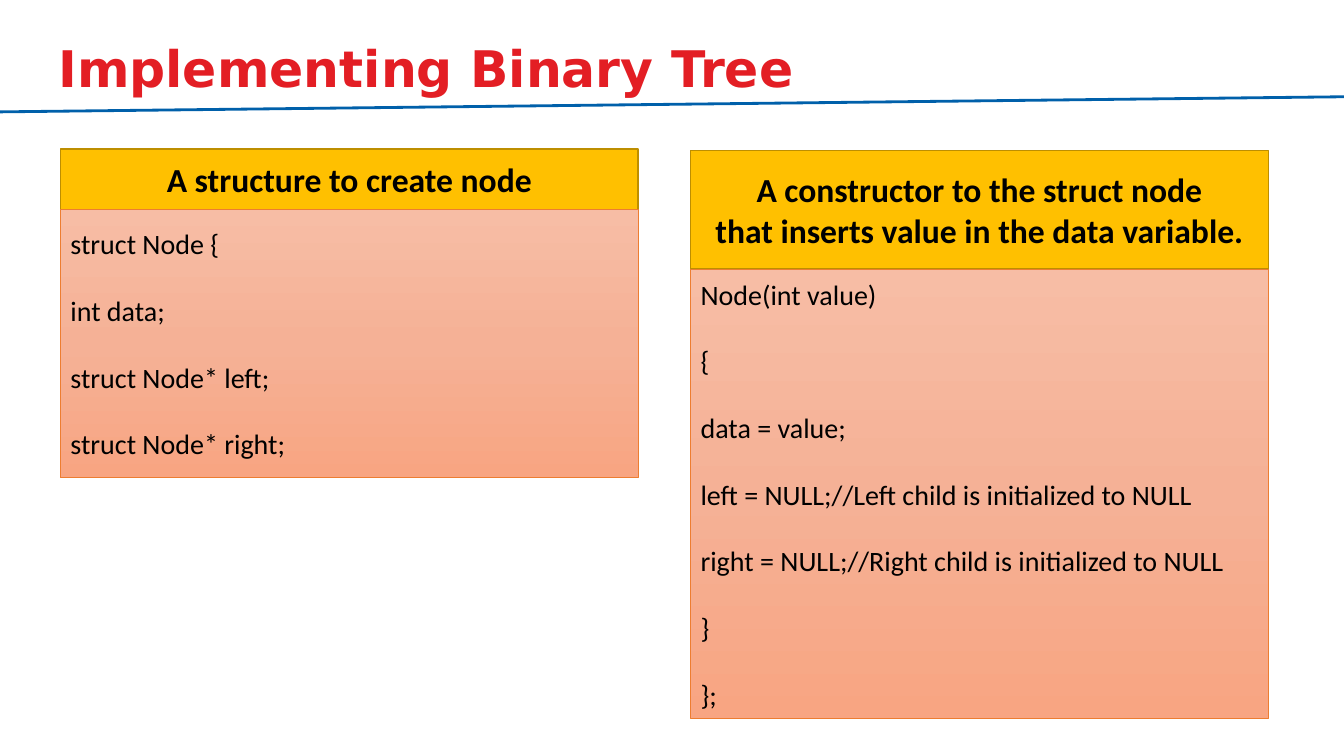
from copy import deepcopy
from pptx import Presentation
from pptx.dml.color import RGBColor
from pptx.enum.shapes import MSO_CONNECTOR, MSO_SHAPE
from pptx.enum.text import MSO_ANCHOR, MSO_AUTO_SIZE, PP_ALIGN
from pptx.oxml.ns import qn
from pptx.util import Inches, Pt

LEFT, CENTER = PP_ALIGN.LEFT, PP_ALIGN.CENTER
MIDDLE = MSO_ANCHOR.MIDDLE
SALMON = ["F7BDA5", "F5B196", "F8A582"]
PANEL_W, LEFT_X, RIGHT_X = 5.73, 0.6, 6.85


def rgb(value):
    return RGBColor.from_string(value)


def add_box(x, y, h, lines, line_color, line_width, size, bold, align, gap):
    sp = s.shapes.add_shape(MSO_SHAPE.RECTANGLE, Inches(x), Inches(y), Inches(PANEL_W), Inches(h))
    sp.shadow.inherit = False
    sp.line.color.rgb = rgb(line_color)
    sp.line.width = Pt(line_width)
    tf = sp.text_frame
    tf.word_wrap = True
    tf.vertical_anchor = MIDDLE
    for i, line in enumerate(lines):
        p = tf.paragraphs[0] if i == 0 else tf.add_paragraph()
        p.text = line
        p.alignment = align
        p.space_before = Pt(gap if i else 0)
        p.font.name = "Calibri"
        p.font.size = Pt(size)
        p.font.bold = bold
        p.font.color.rgb = rgb("000000")
    return sp


prs = Presentation()
prs.slide_width, prs.slide_height = Inches(13.33), Inches(7.5)
s = prs.slides.add_slide(prs.slide_layouts[5])

# Title
title = s.shapes.title
title.left, title.top = Inches(0.31), Inches(0.08)
title.width, title.height = Inches(11.72), Inches(1.25)
tf = title.text_frame
tf.auto_size = MSO_AUTO_SIZE.NONE
tf.vertical_anchor = MIDDLE
tf.margin_left = Inches(0.27)
p = tf.paragraphs[0]
p.text = "Implementing Binary Tree"
p.alignment = LEFT
p.line_spacing = 0.9
p.font.name = "DejaVu Sans"
p.font.size = Pt(36)
p.font.bold = True
p.font.color.rgb = rgb("E31E24")

# Slanted rule under the title
rule = s.shapes.add_connector(MSO_CONNECTOR.STRAIGHT, 0, Inches(1.11), prs.slide_width, Inches(0.96))
rule.line.color.rgb = rgb("0060AA")
rule.line.width = Pt(2)
rule._element.spPr.append(rule._element.makeelement(qn("a:effectLst"), {}))

# Panels: left, top, heading height, code height, heading lines, code lines
panels = [
    (LEFT_X, 1.48, 0.6, 2.66,
     ["A structure to create node"],
     ["struct Node {", "int data;", "struct Node* left;", "struct Node* right;"]),
    (RIGHT_X, 1.49, 1.18, 4.46,
     ["A constructor to the struct node", "that inserts value in the data variable."],
     ["Node(int value)", "{", "data = value;",
      "left = NULL;//Left child is initialized to NULL",
      "right = NULL;//Right child is initialized to NULL", "}", "};"]),
]
for x, y, head_h, code_h, heading, code in panels:
    head = add_box(x, y, head_h, heading, "BD8E00", 1, 24, True, CENTER, 0)
    head.fill.solid()
    head.fill.fore_color.rgb = rgb("FFC000")

    body = add_box(x, y + head_h, code_h, code, "ED7D31", 0.5, 20, False, LEFT, 23.6)
    body.fill.gradient()
    body.fill.gradient_angle = 270
    # A third stop in the middle of the default two
    first = body._element.spPr.find(".//" + qn("a:gs"))
    first.addnext(deepcopy(first))
    for i, (stop, color) in enumerate(zip(body.fill.gradient_stops, SALMON)):
        stop.position = i / 2
        stop.color.rgb = rgb(color)

prs.save("out.pptx")
